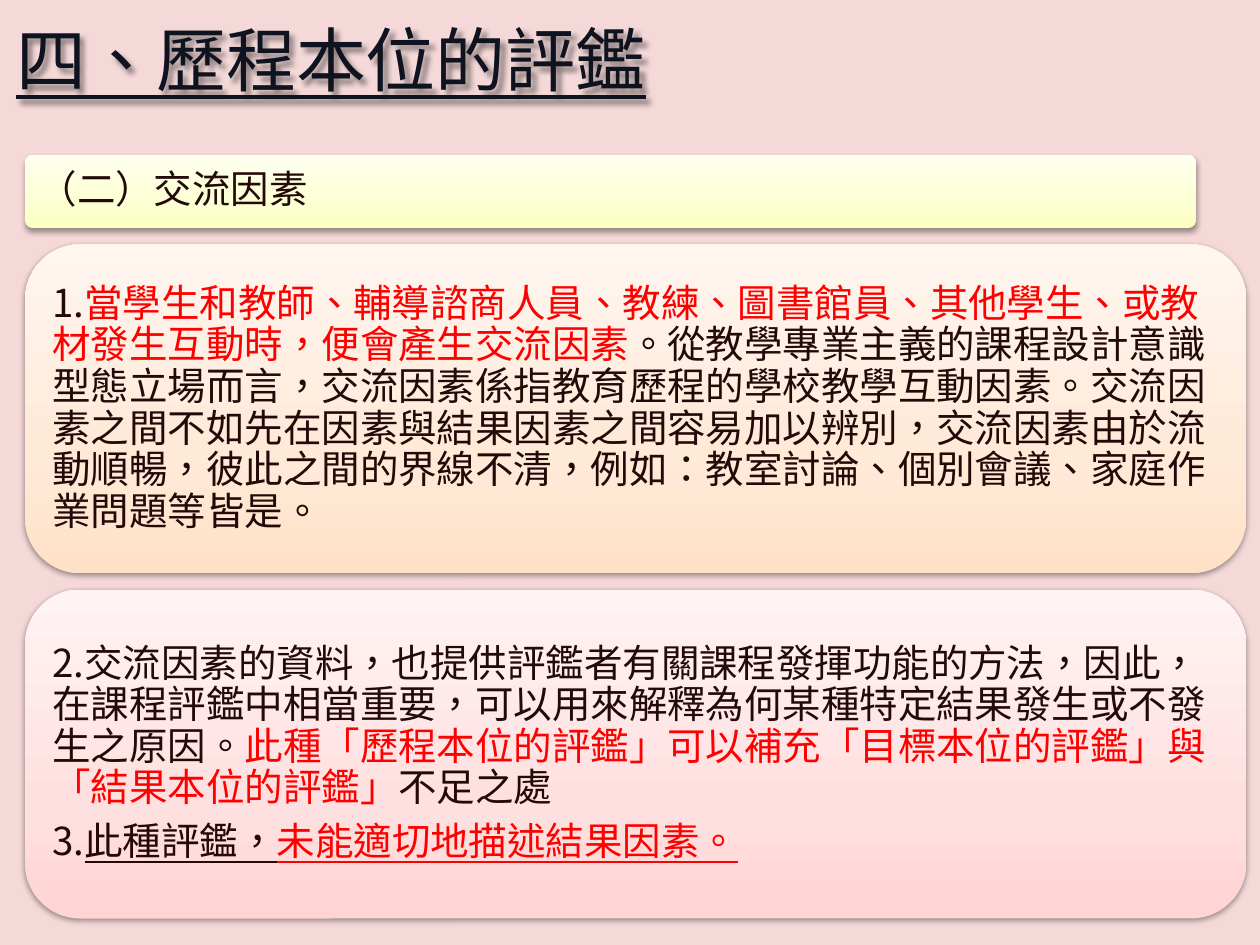
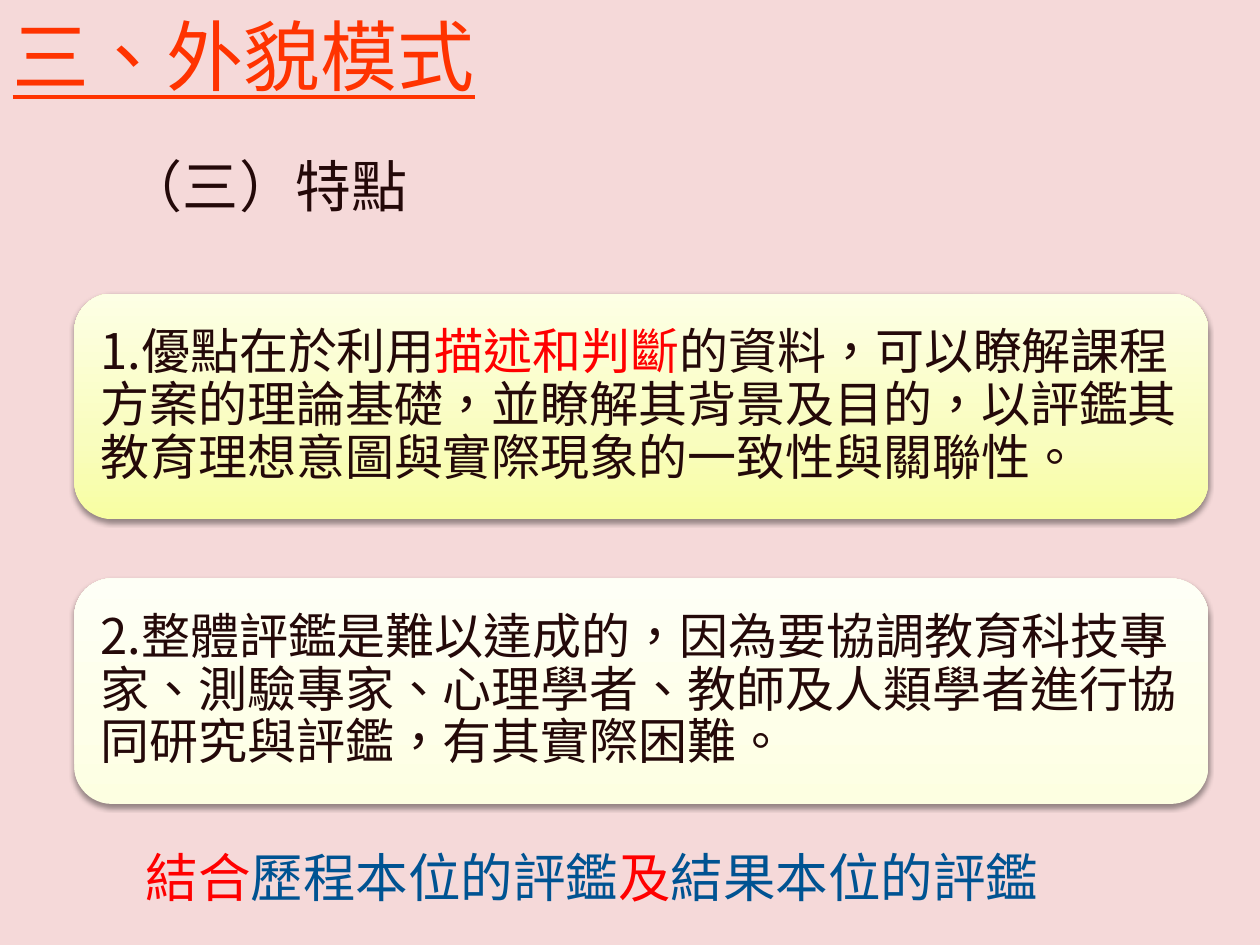
from dataclasses import dataclass

from lxml.etree import SubElement
from pptx import Presentation
from pptx.dml.color import RGBColor
from pptx.enum.shapes import MSO_SHAPE
from pptx.enum.text import MSO_ANCHOR, MSO_AUTO_SIZE, PP_ALIGN
from pptx.oxml.ns import qn
from pptx.util import Emu, Inches, Pt

# Shared look
PINK, INK, RED, BLUE = "F5D9D9", "240909", "FF0000", "005392"
CJK_FONT = "Noto Sans CJK SC"
GRADIENT_STOPS = (0, 35, 100)
TITLE_ONLY = 5

# Slide grid: 100 columns by 75 rows
COLUMNS, ROWS = 100, 75
SLIDE_WIDTH, SLIDE_HEIGHT = Inches(10), Inches(7.5)


@dataclass(frozen=True)
class Span:
    text: str
    color: str = INK
    underline: bool = False


@dataclass(frozen=True)
class Area:
    column: float
    row: float
    columns: float
    rows: float

    def lengths(self) -> tuple:
        across, down = SLIDE_WIDTH / COLUMNS, SLIDE_HEIGHT / ROWS
        return (Emu(round(self.column * across)), Emu(round(self.row * down)),
                Emu(round(self.columns * across)), Emu(round(self.rows * down)))


@dataclass(frozen=True)
class Shadow:
    blur: float
    distance: float
    angle: int
    opacity: int


@dataclass(frozen=True)
class Card:
    area: Area
    gradient: tuple
    paragraphs: list
    size: float
    inset: float
    corner: float = 0.1667


CARD_SHADOW = Shadow(3.1, 1.6, 90, 38)
TITLE_SHADOW = Shadow(3, 3, 45, 43)


def rgb(value: str) -> RGBColor:
    return RGBColor.from_string(value)


def add_shadow(shape, shadow: Shadow) -> None:
    shape.shadow.inherit = False
    effects = shape._element.spPr.find(qn("a:effectLst"))
    outer = SubElement(effects, qn("a:outerShdw"), blurRad=str(Pt(shadow.blur)),
                       dist=str(Pt(shadow.distance)), dir=str(shadow.angle * 60000),
                       rotWithShape="0")
    color = SubElement(outer, qn("a:srgbClr"), val="000000")
    SubElement(color, qn("a:alpha"), val=str(shadow.opacity * 1000))


def fill_gradient(shape, colors: tuple) -> None:
    shape.fill.gradient()
    shape.fill.gradient_angle = 90
    stops = shape._element.spPr.find(qn("a:gradFill")).find(qn("a:gsLst"))
    for stop in list(stops):
        stops.remove(stop)
    for position, color in zip(GRADIENT_STOPS, colors):
        stop = SubElement(stops, qn("a:gs"), pos=str(position * 1000))
        SubElement(stop, qn("a:srgbClr"), val=color)


def write_spans(paragraph, spans: list, size: float, font: str = CJK_FONT) -> None:
    paragraph.alignment = PP_ALIGN.LEFT
    for span in spans:
        run = paragraph.add_run()
        run.text = span.text
        run.font.size = Pt(size)
        run.font.underline = span.underline
        run.font.color.rgb = rgb(span.color)
        run.font.name = font
        properties = run.font._element
        properties.set("lang", "zh-TW")
        SubElement(properties, qn("a:ea"), typeface=font)


def write_title(slide, area: Area, span: Span, size: float):
    title = slide.shapes.title
    title.left, title.top, title.width, title.height = area.lengths()
    frame = title.text_frame
    frame.auto_size = MSO_AUTO_SIZE.NONE
    frame.vertical_anchor = MSO_ANCHOR.MIDDLE
    write_spans(frame.paragraphs[0], [span], size)
    return title


def add_card(slide, card: Card) -> None:
    shape = slide.shapes.add_shape(MSO_SHAPE.ROUNDED_RECTANGLE, *card.area.lengths())
    shape.adjustments[0] = card.corner
    fill_gradient(shape, card.gradient)
    shape.line.fill.background()
    add_shadow(shape, CARD_SHADOW)
    frame = shape.text_frame
    frame.word_wrap = True
    frame.vertical_anchor = MSO_ANCHOR.MIDDLE
    frame.margin_left = frame.margin_right = Inches(card.inset)
    frame.margin_top = frame.margin_bottom = Inches(card.inset)
    for index, spans in enumerate(card.paragraphs):
        paragraph = frame.add_paragraph() if index else frame.paragraphs[0]
        paragraph.line_spacing = 0.9
        paragraph.space_after = Pt(round(card.size * 0.33))
        write_spans(paragraph, spans, card.size)


def add_label(slide, area: Area, spans: list, size: float,
              font: str = CJK_FONT, wrap: bool = True) -> None:
    frame = slide.shapes.add_textbox(*area.lengths()).text_frame
    frame.word_wrap = wrap
    write_spans(frame.paragraphs[0], spans, size, font)


def build_process_slide(prs) -> None:
    slide = prs.slides.add_slide(prs.slide_layouts[TITLE_ONLY])
    title = write_title(slide, Area(0.3, 0, 55.1, 9.3),
                        Span("四、歷程本位的評鑑", "0F131F", True), 40)
    add_shadow(title, TITLE_SHADOW)

    # Heading bar
    add_card(slide, Card(Area(2, 12.3, 92.9, 5.8), ("FBFFC0", "FCFFD3", "FEFFEE"),
                         [[Span("（二）交流因素")]], 22, 0.09, 0.1))

    # Points, stacked at an equal pitch
    interaction = [[
        Span("1."),
        Span("當學生和教師、輔導諮商人員、教練、圖書館員、其他學生、或教材發生互動時，"
             "便會產生交流因素", RED),
        Span("。從教學專業主義的課程設計意識型態立場而言，交流因素係指教育歷程的學校教學"
             "互動因素。交流因素之間不如先在因素與結果因素之間容易加以辨別，交流因素由於流動"
             "順暢，彼此之間的界線不清，例如：教室討論、個別會議、家庭作業問題等皆是。"),
    ]]
    usefulness = [
        [Span("2.交流因素的資料，也提供評鑑者有關課程發揮功能的方法，因此，在課程評鑑中"
              "相當重要，可以用來解釋為何某種特定結果發生或不發生之原因。"),
         Span("此種「歷程本位的評鑑」可以補充「目標本位的評鑑」與「結果本位的評鑑」", RED),
         Span("不足之處")],
        [Span("3."), Span("此種評鑑，", underline=True),
         Span("未能適切地描述結果因素。", RED, True)],
    ]
    points = [(("FFE1C7", "FFE9D7", "FFF6F0"), interaction),
              (("FFD4D4", "FFE0E0", "FFF3F3"), usefulness)]
    for index, (gradient, paragraphs) in enumerate(points):
        area = Area(2, 19.4 + 27.4 * index, 96.9, 26.1)
        add_card(slide, Card(area, gradient, paragraphs, 22, 0.09))


def build_features_slide(prs) -> None:
    slide = prs.slides.add_slide(prs.slide_layouts[TITLE_ONLY])
    write_title(slide, Area(0, 0, 90, 8.7), Span("三、外貌模式", "FF3300", True), 44)
    add_label(slide, Area(9.1, 11.5, 25, 6.4), [Span("（三）特點")], 32)

    # Strength and difficulty, stacked at an equal pitch
    strength = [
        Span("1.優點在於利用"), Span("描述和判斷", RED),
        Span("的資料，可以瞭解課程方案的理論基礎，並瞭解其背景及目的，以評鑑其教育理想"
             "意圖與實際現象的一致性與關聯性。"),
    ]
    difficulty = [
        Span("2.整體評鑑是難以達成的，因為要協調教育科技專家、測驗專家、心理學者、教師及"
             "人類學者進行協同研究與評鑑，有其實際困難。"),
    ]
    features = [(("F8FEA2", "F9FDBE", "FDFFE5"), strength),
                (("FDFFE1", "FEFFE9", "FEFFF6"), difficulty)]
    for index, (gradient, spans) in enumerate(features):
        area = Area(5.9, 23.3 + 22.6 * index, 90, 17.9)
        add_card(slide, Card(area, gradient, [spans], 28, 0.12))

    # Closing line
    closing = [Span("結合", RED), Span("歷程本位的評鑑", BLUE),
               Span("及", RED), Span("結果本位的評鑑", BLUE)]
    add_label(slide, Area(10.6, 66.6, 73.5, 6.1), closing, 30, "Calibri", wrap=False)


def main() -> None:
    prs = Presentation()
    prs.slide_width, prs.slide_height = SLIDE_WIDTH, SLIDE_HEIGHT
    background = prs.slide_master.background.fill
    background.solid()
    background.fore_color.rgb = rgb(PINK)
    build_process_slide(prs)
    build_features_slide(prs)
    prs.save("out.pptx")


if __name__ == "__main__":
    main()
